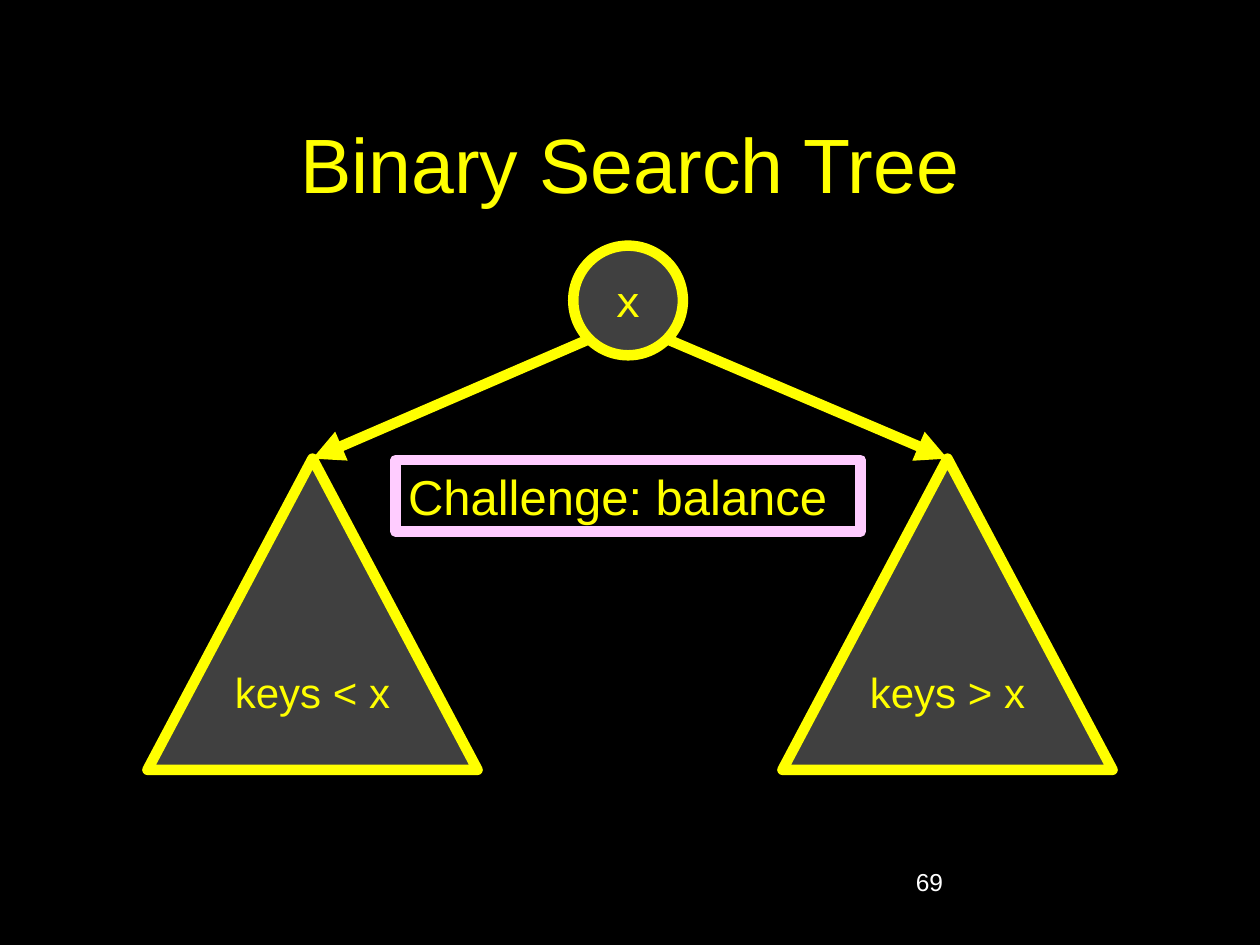
import pptx
import pptx.dml.color
import pptx.enum.shapes
import pptx.enum.text
import pptx.oxml
import pptx.oxml.ns
import pptx.util
from lxml import etree

Inches = pptx.util.Inches
Pt = pptx.util.Pt
SHAPE = pptx.enum.shapes.MSO_SHAPE
ALIGN = pptx.enum.text.PP_ALIGN
ANCHOR = pptx.enum.text.MSO_ANCHOR

WIDTH, HEIGHT = 10, 7.5
BLACK, GREY, YELLOW, PINK, WHITE = "000000", "404040", "FFFF00", "FFCCFF", "FFFFFF"
LINE_WIDTH = 6

NODE_SIZE = 0.87
NODE_LEFT, NODE_TOP = 4.55, 1.95
EDGE_TOP = 2.69
SUBTREE_TOP, SUBTREE_WIDTH, SUBTREE_HEIGHT = 3.64, 2.62, 2.47
# label, centre of the subtree, start of its edge
SUBTREES = [("keys < x", 2.48, 4.68), ("keys > x", 7.52, 5.29)]


def colour(value):
    return pptx.dml.color.RGBColor.from_string(value)


def add_element(parent, tag, **attributes):
    child = etree.SubElement(parent, pptx.oxml.ns.qn(tag))
    for name, value in attributes.items():
        child.set(name, value)


def write(shape, text, size, ink=YELLOW, font="Arial", align=ALIGN.CENTER,
          anchor=ANCHOR.MIDDLE, wrap=True):
    frame = shape.text_frame
    frame.text = text
    frame.word_wrap = wrap
    frame.vertical_anchor = anchor
    para = frame.paragraphs[0]
    para.alignment = align
    para.font.name = font
    para.font.size = Pt(size)
    para.font.color.rgb = colour(ink)


def add_title(page, text):
    title = page.shapes.title
    title.left, title.top = Inches(0.75), Inches(0.67)
    title.width, title.height = Inches(8.5), Inches(1.25)
    write(title, text, 44)


def add_page_number(page, text):
    box = page.shapes.add_textbox(Inches(7.17), Inches(6.83), Inches(2.08), Inches(0.5))
    write(box, text, 14, WHITE, align=ALIGN.LEFT, anchor=ANCHOR.TOP)


def add_outlined(page, kind, left, top, width, height, fill=GREY, outline=YELLOW):
    shape = page.shapes.add_shape(
        kind, Inches(left), Inches(top), Inches(width), Inches(height))
    shape.shadow.inherit = False
    shape.fill.solid()
    shape.fill.fore_color.rgb = colour(fill)
    shape.line.color.rgb = colour(outline)
    shape.line.width = Pt(LINE_WIDTH)
    return shape


def add_edge(page, start, end):
    """Draw an arrow from the root node to the top of a subtree."""
    edge = page.shapes.add_connector(
        pptx.enum.shapes.MSO_CONNECTOR.STRAIGHT,
        *(Inches(value) for value in (*start, *end)))
    edge.line.color.rgb = colour(YELLOW)
    edge.line.width = Pt(LINE_WIDTH)
    add_element(edge.line._get_or_add_ln(), "a:tailEnd", type="triangle")
    add_element(edge._element.spPr, "a:effectLst")


def add_subtree(page, label, centre):
    triangle = add_outlined(page, SHAPE.ISOSCELES_TRIANGLE, centre - SUBTREE_WIDTH / 2,
                            SUBTREE_TOP, SUBTREE_WIDTH, SUBTREE_HEIGHT)
    add_element(triangle.line._get_or_add_ln(), "a:round")
    write(triangle, label, 24, wrap=False)


def main():
    deck = pptx.Presentation()
    deck.slide_width, deck.slide_height = Inches(WIDTH), Inches(HEIGHT)
    page = deck.slides.add_slide(deck.slide_layouts[5])
    page.background.fill.solid()
    page.background.fill.fore_color.rgb = colour(BLACK)

    add_title(page, "Binary Search Tree")
    add_page_number(page, "69")

    for label, centre, edge_start in SUBTREES:
        add_edge(page, (edge_start, EDGE_TOP), (centre, SUBTREE_TOP))
    root = add_outlined(page, SHAPE.OVAL, NODE_LEFT, NODE_TOP, NODE_SIZE, NODE_SIZE)
    write(root, "x", 24, font="DejaVu Sans Mono", wrap=False)
    for label, centre, edge_start in SUBTREES:
        add_subtree(page, label, centre)

    challenge = add_outlined(page, SHAPE.RECTANGLE, 3.14, 3.65, 3.69, 0.57, BLACK, PINK)
    write(challenge, "Challenge: balance", 28, align=ALIGN.LEFT, anchor=ANCHOR.TOP)

    deck.save("out.pptx")


if __name__ == "__main__":
    main()
